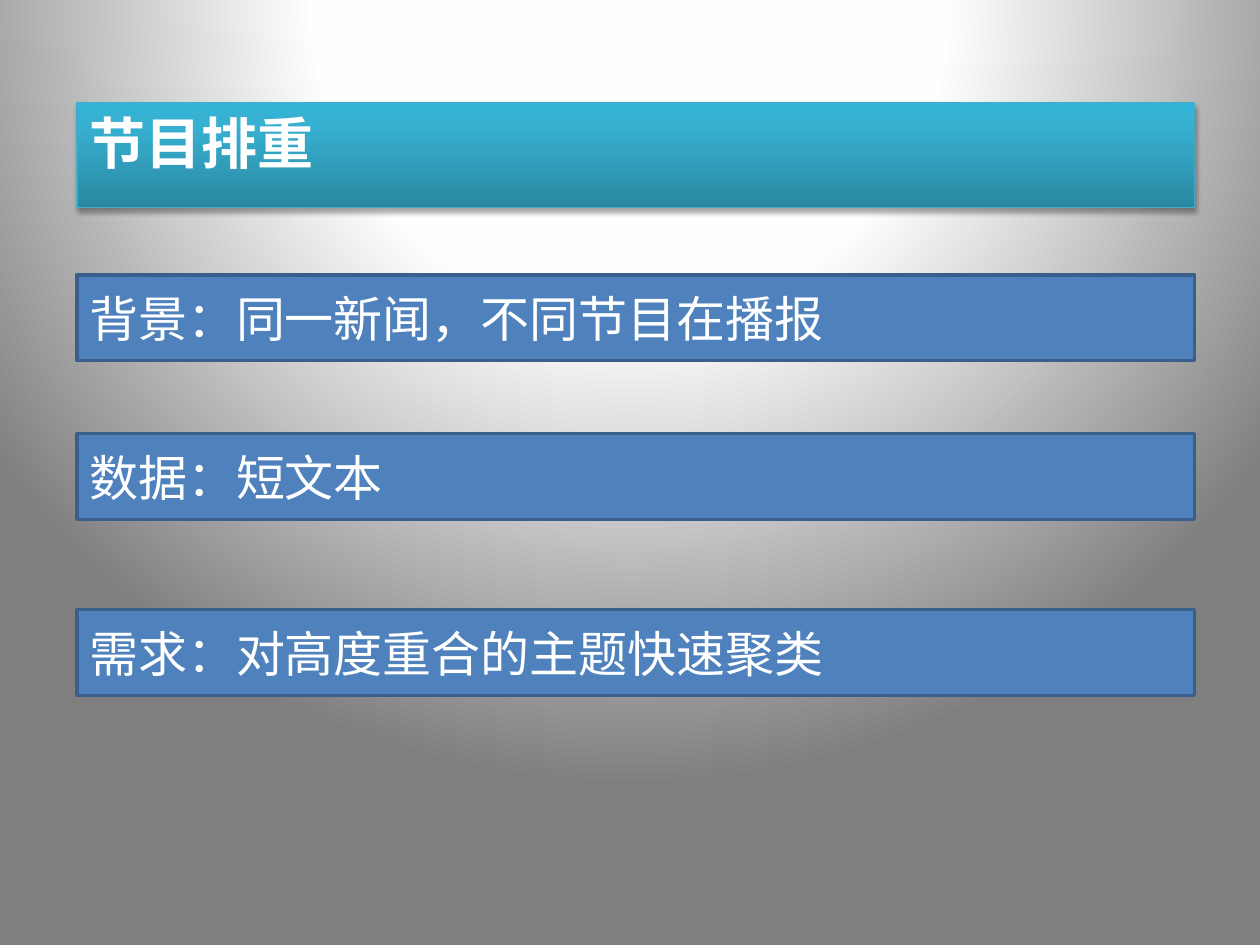
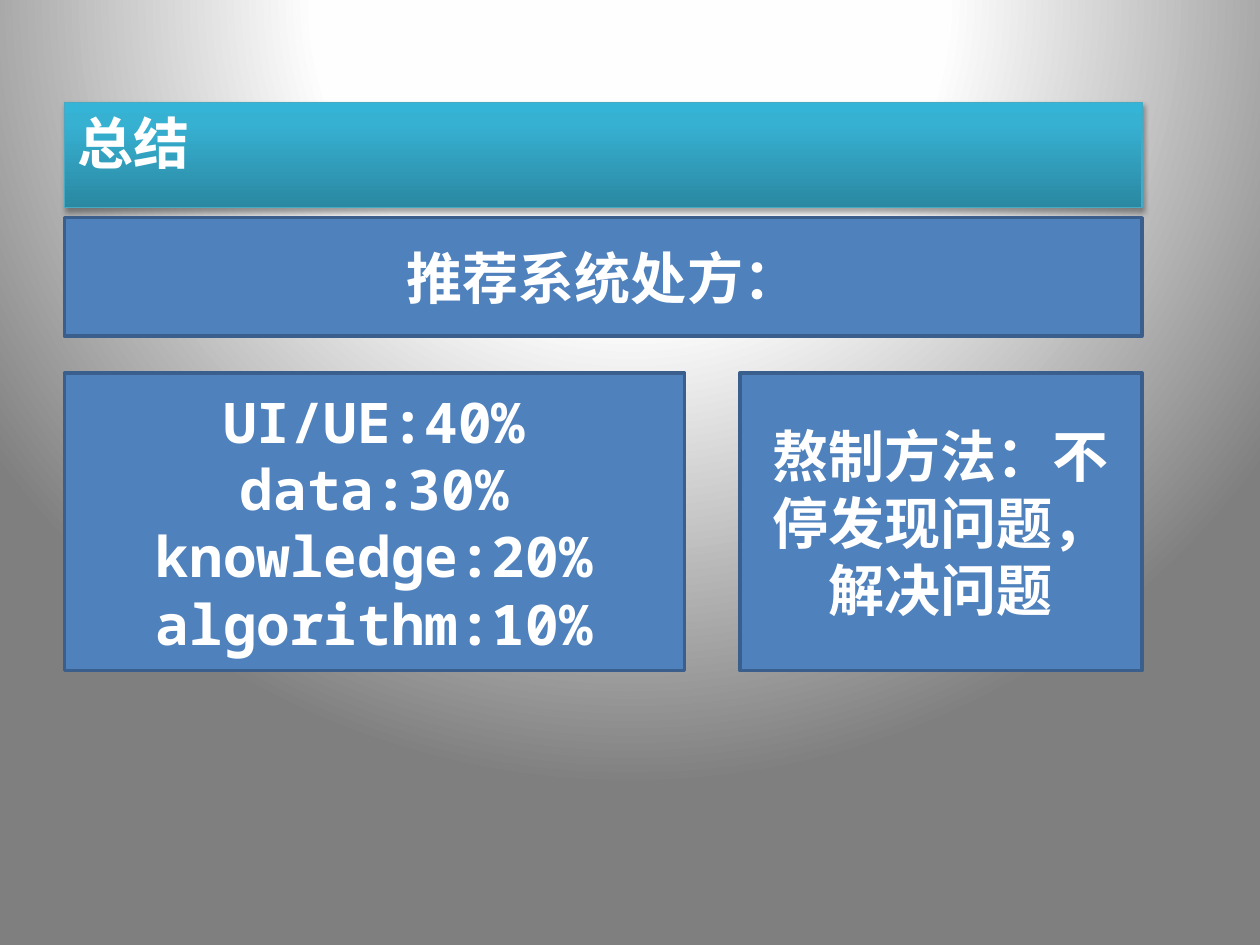
from lxml import etree
from pptx import Presentation, util as u
from pptx.dml.color import RGBColor
from pptx.enum import shapes, text
from pptx.oxml import parse_xml
from pptx.oxml.ns import nsdecls, qn

# Content
TOPICS_TITLE = "节目排重"
TOPICS = [  # text, top in cm
    ("背景：同一新闻，不同节目在播报", 5.54),
    ("数据：短文本", 8.74),
    ("需求：对高度重合的主题快速聚类", 12.29),
]
SUMMARY_TITLE = "总结"
PRESCRIPTION = ["推荐系统处方："]
INGREDIENTS = ["UI/UE:40%", "data:30%", "knowledge:20%", "algorithm:10%"]
METHOD = ["熬制方法：不停发现问题，解决问题"]

# Shared style
SANS, MONO = "Noto Sans CJK SC", "Noto Sans Mono"
WHITE, BLUE, BLUE_EDGE, TEAL_EDGE = "FFFFFF", "4F81BD", "3A5F8C", "46AAC5"
BACKGROUND = [(0, "FFFFFF"), (40, "FEFEFE"), (100, "7F7F7F")]
TITLE_BAND = [(0, "2A88A2"), (80, "37B1D2"), (100, "34B4D6")]
GLOW = ('<a:path path="circle">'
        '<a:fillToRect l="50000" t="-80000" r="50000" b="180000"/></a:path>')
UPWARD = '<a:lin ang="16200000" scaled="0"/>'
TITLE_TOP, TITLE_H = 2.06, 1.62


def color(value):
    return RGBColor.from_string(value)


def set_gradient(fill, parent, stops, direction):
    """Swap the solid fill of parent for a gradient with any number of stops."""
    fill.solid()
    marks = "".join(f'<a:gs pos="{pos * 1000}"><a:srgbClr val="{c}"/></a:gs>'
                    for pos, c in stops)
    solid = parent.find(".//" + qn("a:solidFill"))
    solid.getparent().replace(solid, parse_xml(
        f'<a:gradFill {nsdecls("a")} rotWithShape="1">'
        f'<a:gsLst>{marks}</a:gsLst>{direction}</a:gradFill>'))


def place(sp, left, top, width, height):
    sp.left, sp.top, sp.width, sp.height = map(u.Cm, (left, top, width, height))


def write(tf, lines, font, size, bold=False, align=text.PP_ALIGN.LEFT):
    tf.word_wrap = True
    for i, line in enumerate(lines):
        p = tf.add_paragraph() if i else tf.paragraphs[0]
        p.alignment = align
        r = p.add_run()
        r.text = line
        r.font.name, r.font.size, r.font.bold = font, u.Pt(size), bold
        r.font.color.rgb = color(WHITE)
        etree.SubElement(r.font._element, qn("a:ea"), typeface=font)


def add_slide(prs, title, left, width):
    s = prs.slides.add_slide(prs.slide_layouts[5])
    sp = s.shapes.title
    place(sp, left, TITLE_TOP, width, TITLE_H)
    set_gradient(sp.fill, sp.element.spPr, TITLE_BAND, UPWARD)
    sp.line.color.rgb, sp.line.width = color(TEAL_EDGE), u.Pt(0.75)
    sp.element.spPr.append(parse_xml(
        f'<a:effectLst {nsdecls("a")}>'
        '<a:outerShdw blurRad="40000" dist="23000" dir="5400000" rotWithShape="0">'
        '<a:srgbClr val="000000"><a:alpha val="35000"/></a:srgbClr>'
        '</a:outerShdw></a:effectLst>'))
    tf = sp.text_frame
    tf.vertical_anchor = text.MSO_ANCHOR.TOP
    tf.auto_size = text.MSO_AUTO_SIZE.SHAPE_TO_FIT_TEXT
    write(tf, [title], SANS, 32, bold=True)
    return s


def add_box(s, box, lines, **style):
    sp = s.shapes.add_shape(shapes.MSO_SHAPE.RECTANGLE, *map(u.Cm, box))
    sp.shadow.inherit = False
    sp.fill.solid()
    sp.fill.fore_color.rgb = color(BLUE)
    sp.line.color.rgb, sp.line.width = color(BLUE_EDGE), u.Pt(2)
    sp.text_frame.vertical_anchor = text.MSO_ANCHOR.MIDDLE
    write(sp.text_frame, lines, **style)


def topics_slide(prs):
    left, width = 1.55, 22.53
    s = add_slide(prs, TOPICS_TITLE, left, width)
    for line, top in TOPICS:
        add_box(s, (left, top, width, 1.73), [line], font=SANS, size=28)


def summary_slide(prs):
    left, width = 1.3, 21.72
    ingredients_w, method_w = 12.5, 8.1
    row_top, row_h = 7.52, 6
    s = add_slide(prs, SUMMARY_TITLE, left, width)
    boxes = [
        ((left, row_top, ingredients_w, row_h), INGREDIENTS),
        ((left, 4.39, width, 2.39), PRESCRIPTION),
        ((left + width - method_w, row_top, method_w, row_h), METHOD),
    ]
    for box, lines in boxes:
        add_box(s, box, lines, font=MONO, size=32, bold=True,
                align=text.PP_ALIGN.CENTER)


def main():
    prs = Presentation()
    prs.slide_width, prs.slide_height = u.Cm(25.4), u.Cm(19.05)
    # Background shared through the master
    master = prs.slide_master
    set_gradient(master.background.fill, master.element.cSld.bg, BACKGROUND, GLOW)
    topics_slide(prs)
    summary_slide(prs)
    prs.save("out.pptx")


if __name__ == "__main__":
    main()
